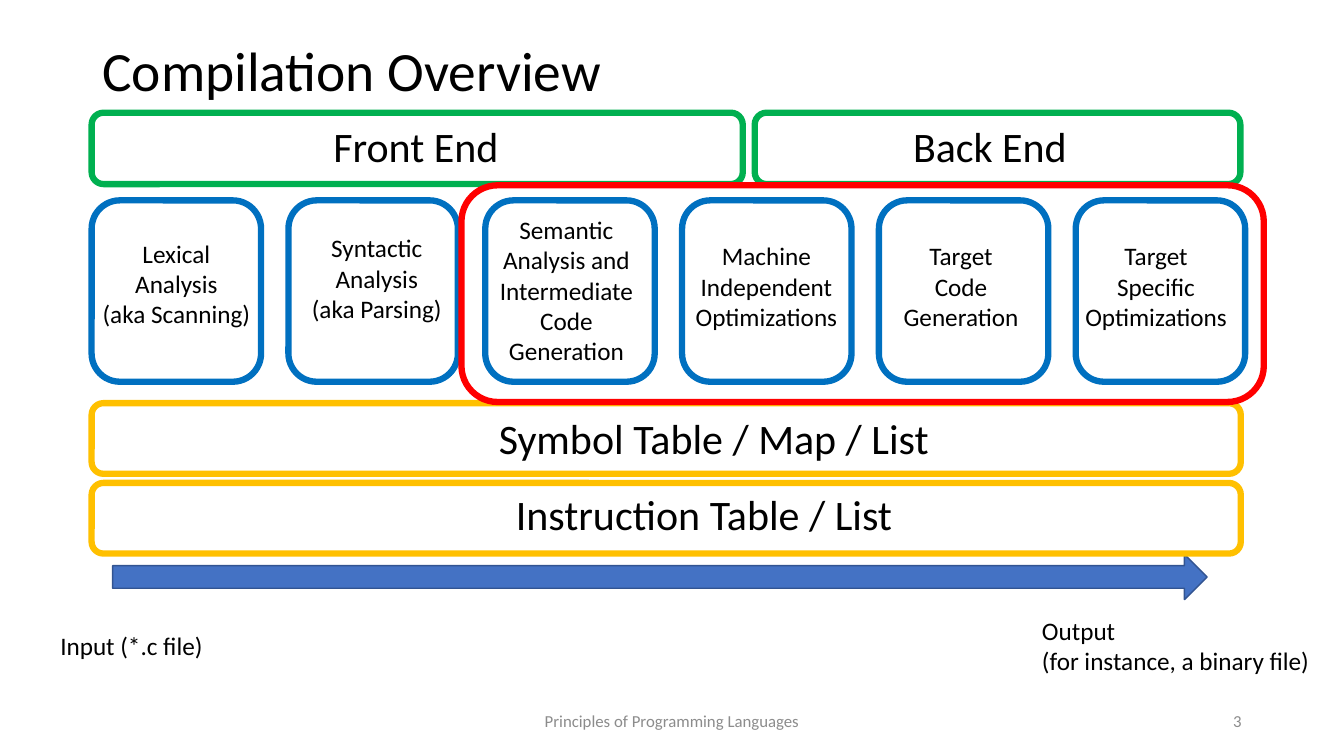
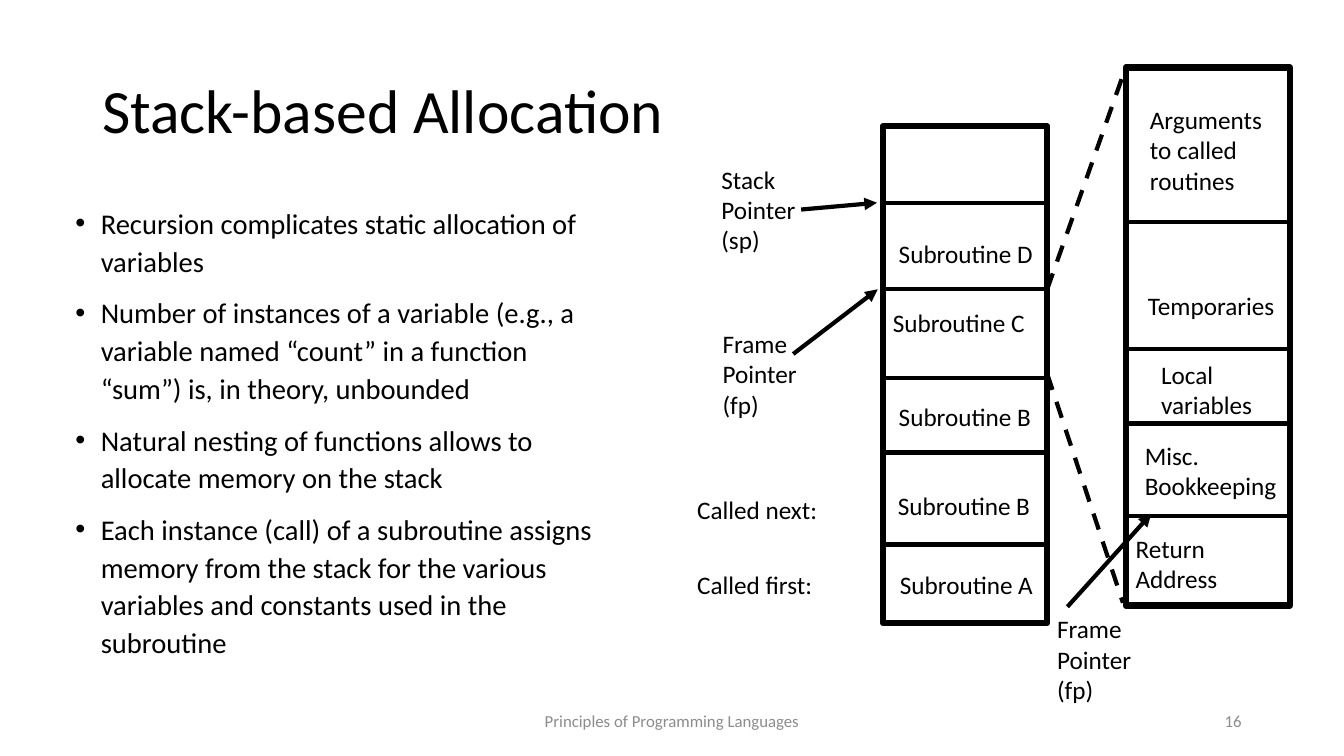
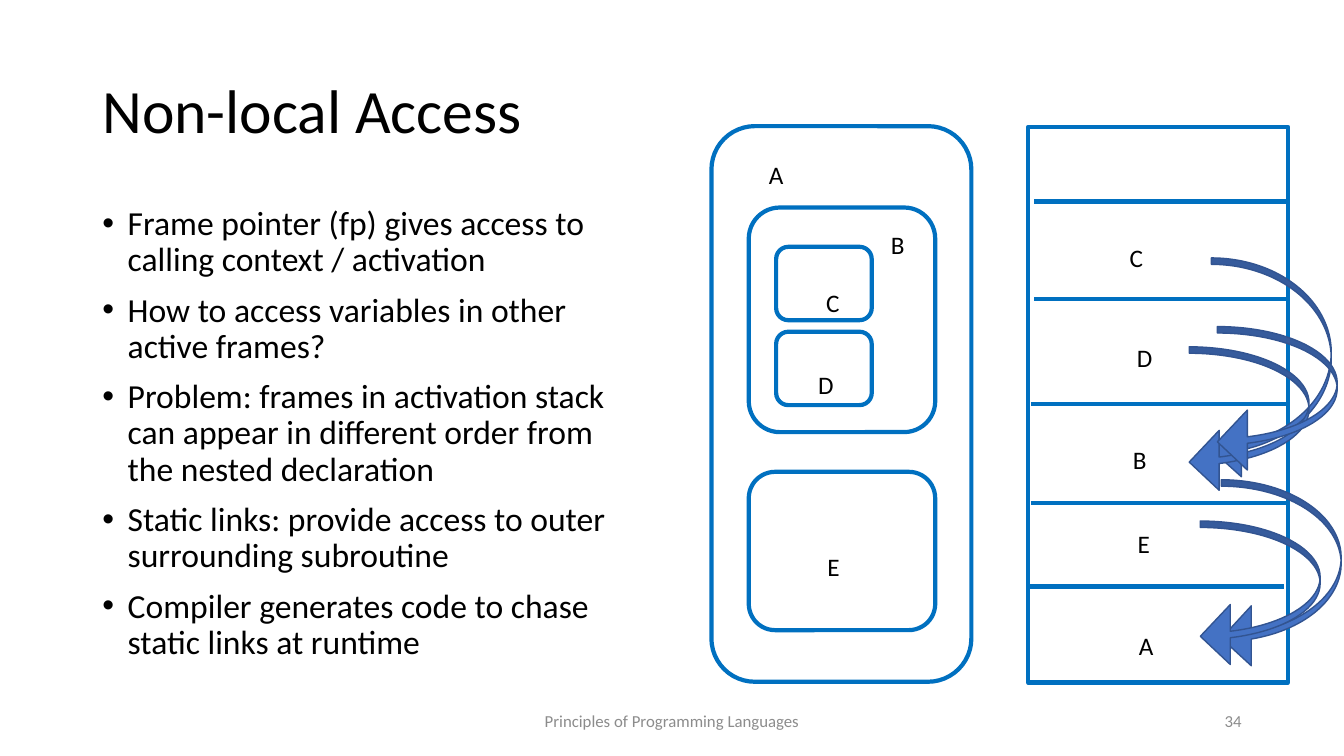
"""Build three lecture slides on compilation, stack allocation and non-local access."""
from dataclasses import dataclass

from lxml import etree
from pptx import Presentation
from pptx import util as u
from pptx.dml import color
from pptx.enum import dml, shapes, text
from pptx.oxml import ns

FONT = "Calibri"
BLACK, GREY = "000000", "8C8C8C"
BLUE, GREEN, YELLOW, RED = "0070C0", "00B050", "FFC000", "FF0000"
ARROW_FILL, ARROW_EDGE = "4472C4", "325491"
FOOTER = "Principles of Programming Languages"
BODY_SIZE = 18
BAND_SIZE = 30
THICK, MEDIUM, THIN = 4.5, 3, 1
LEFT, CENTER, RIGHT = text.PP_ALIGN.LEFT, text.PP_ALIGN.CENTER, text.PP_ALIGN.RIGHT
RECTANGLE = shapes.MSO_SHAPE.RECTANGLE
ROUNDED = shapes.MSO_SHAPE.ROUNDED_RECTANGLE


@dataclass(frozen=True)
class Label:
    left: float
    top: float
    width: float
    words: str
    size: float = BODY_SIZE
    wrapped_rows: int = 0


@dataclass(frozen=True)
class Box:
    left: float
    top: float
    width: float
    height: float
    line: str
    weight: float = THICK
    kind: shapes.MSO_SHAPE = ROUNDED
    fill: str = ""
    adjustments: tuple[float, ...] = ()


@dataclass(frozen=True)
class Line:
    x1: float
    y1: float
    x2: float
    y2: float
    line: str = BLACK
    dashed: bool = False
    arrow: bool = False


def rgb(value: str) -> color.RGBColor:
    return color.RGBColor.from_string(value)


def add_bullet(paragraph) -> None:
    properties = paragraph._p.get_or_add_pPr()
    indent = u.Cm(0.64)
    properties.set("marL", str(indent))
    properties.set("indent", str(-indent))
    etree.SubElement(properties, ns.qn("a:buFont")).set("typeface", "Arial")
    etree.SubElement(properties, ns.qn("a:buChar")).set("char", "•")


def add_text(slide, words: str, left: float, top: float, width: float, height: float, *,
             size: float = BODY_SIZE, ink: str = BLACK, align=LEFT,
             anchor=text.MSO_ANCHOR.TOP, wrap: bool = True, grow: bool = False,
             spacing: float = 1.0, before: float = 0, bullets: bool = False) -> None:
    shape = slide.shapes.add_textbox(u.Cm(left), u.Cm(top), u.Cm(width), u.Cm(height))
    frame = shape.text_frame
    frame.word_wrap = wrap
    frame.vertical_anchor = anchor
    frame.auto_size = text.MSO_AUTO_SIZE.SHAPE_TO_FIT_TEXT if grow else text.MSO_AUTO_SIZE.NONE
    frame.text = words
    for paragraph in frame.paragraphs:
        paragraph.alignment = align
        paragraph.line_spacing = spacing
        paragraph.space_before = u.Pt(before)
        paragraph.font.size = u.Pt(size)
        for run in paragraph.runs:
            run.font.name = FONT
            run.font.size = u.Pt(size)
            run.font.color.rgb = rgb(ink)
        if bullets:
            add_bullet(paragraph)


def add_label(slide, label: Label, align=LEFT) -> None:
    rows = label.wrapped_rows or label.words.count("\n") + 1
    height = rows * label.size * 0.0427 + 0.25
    add_text(slide, label.words, label.left, label.top, label.width, height,
             size=label.size, align=align, wrap=label.wrapped_rows > 0, grow=True)


def add_box(slide, box: Box) -> None:
    shape = slide.shapes.add_shape(box.kind, u.Cm(box.left), u.Cm(box.top),
                                   u.Cm(box.width), u.Cm(box.height))
    shape.shadow.inherit = False
    if box.fill:
        shape.fill.solid()
        shape.fill.fore_color.rgb = rgb(box.fill)
    else:
        shape.fill.background()
    shape.line.color.rgb = rgb(box.line)
    shape.line.width = u.Pt(box.weight)
    for index, value in enumerate(box.adjustments):
        shape.adjustments[index] = value


def add_line(slide, line: Line) -> None:
    connector = slide.shapes.add_connector(
        shapes.MSO_CONNECTOR.STRAIGHT,
        u.Cm(line.x1), u.Cm(line.y1), u.Cm(line.x2), u.Cm(line.y2))
    connector.line.color.rgb = rgb(line.line)
    connector.line.width = u.Pt(MEDIUM)
    if line.dashed:
        connector.line.dash_style = dml.MSO_LINE.DASH
    properties = connector.element.spPr
    if line.arrow:
        outline = properties.find(ns.qn("a:ln"))
        etree.SubElement(outline, ns.qn("a:tailEnd")).set("type", "triangle")
    etree.SubElement(properties, ns.qn("a:effectLst"))


def add_bullets(slide, items: tuple[str, ...], left: float, top: float, width: float,
                size: float, spacing: float) -> None:
    add_text(slide, "\n".join(items), left, top, width, 12.09,
             size=size, spacing=spacing, before=10, bullets=True)


def start_slide(presentation, title: str, number: int, *,
                title_height: float = 3.68, title_size: float = 44):
    slide = presentation.slides.add_slide(presentation.slide_layouts[6])
    middle = text.MSO_ANCHOR.MIDDLE
    add_text(slide, title, 2.33, 1.01, 29.21, title_height,
             size=title_size, anchor=middle, spacing=0.9)
    for words, left, width, align in ((FOOTER, 11.22, 11.43, CENTER),
                                      (str(number), 23.92, 7.62, RIGHT)):
        add_text(slide, words, left, 17.66, width, 1.01,
                 size=12, ink=GREY, align=align, anchor=middle)
    return slide


def build_compilation(presentation) -> None:
    slide = start_slide(presentation, "Compilation Overview", 3,
                        title_height=1.69, title_size=39.6)
    phases = (
        Label(2.31, 5.87, 4.27, "Lexical\nAnalysis\n(aka Scanning)"),
        Label(7.59, 5.74, 3.81, "Syntactic\nAnalysis\n(aka Parsing)"),
        Label(12.32, 5.28, 3.91, "Semantic\nAnalysis and\nIntermediate\nCode Generation",
              wrapped_rows=5),
        Label(17.18, 5.94, 4.27, "Machine Independent Optimizations", wrapped_rows=3),
        Label(22.38, 5.94, 3.68, "Target\nCode\nGeneration", wrapped_rows=3),
        Label(27, 5.94, 4.27, "Target\nSpecific\nOptimizations", wrapped_rows=3),
    )
    for index, phase in enumerate(phases):
        add_box(slide, Box(2.31 + index * 4.96, 5.05, 4.27, 4.57, BLUE))
        add_label(slide, phase, CENTER)

    add_box(slide, Box(2.84, 13.97, 27.58, 1.14, ARROW_EDGE, THIN,
                       shapes.MSO_SHAPE.RIGHT_ARROW, ARROW_FILL))
    add_label(slide, Label(1.27, 15.75, 4.14, "Input (*.c file)"))
    add_label(slide, Label(26.01, 15.37, 7.34, "Output\n(for instance, a binary file)"))

    bands = (
        (Box(2.31, 2.84, 16.41, 1.8, GREEN), Label(8.15, 2.92, 4.72, "Front End", BAND_SIZE)),
        (Box(19.02, 2.84, 12.24, 1.8, GREEN),
         Label(22.76, 2.92, 6.17, "Back End", BAND_SIZE, 1)),
        (Box(2.31, 10.16, 28.96, 1.78, YELLOW),
         Label(12.32, 10.26, 11.46, "Symbol Table / Map / List", BAND_SIZE)),
        (Box(2.31, 12.17, 28.96, 1.78, YELLOW),
         Label(12.75, 12.19, 10.08, "Instruction Table / List", BAND_SIZE)),
    )
    for box, label in bands:
        add_box(slide, box)
        add_label(slide, label)
    add_box(slide, Box(11.63, 4.67, 20.22, 5.46, RED))


def build_stack(presentation) -> None:
    slide = start_slide(presentation, "Stack-based Allocation", 16)
    add_bullets(slide, (
        "Recursion complicates static allocation of variables",
        "Number of instances of a variable (e.g., a variable named “count” in a function "
        "“sum”) is, in theory, unbounded",
        "Natural nesting of functions allows to allocate memory on the stack",
        "Each instance (call) of a subroutine assigns memory from the stack for the various "
        "variables and constants used in the subroutine",
    ), 1.65, 4.98, 14, 20.4, 1.1)

    columns = (
        (Box(22.25, 3.18, 4.14, 12.52, BLACK, kind=RECTANGLE),
         (5.11, 7.29, 9.53, 11.4, 13.72)),
        (Box(28.37, 1.7, 4.14, 13.56, BLACK, kind=RECTANGLE),
         (5.59, 8.79, 10.67, 13)),
    )
    for box, dividers in columns:
        add_box(slide, box)
        for y in dividers:
            add_line(slide, Line(box.left + 0.08, y, box.left + 4.06, y))

    for label in (
        Label(22.43, 14.22, 3.91, "Subroutine A"),
        Label(22.38, 12.24, 3.89, "Subroutine B"),
        Label(22.4, 9.98, 3.89, "Subroutine B"),
        Label(22.25, 7.62, 3.89, "Subroutine C"),
        Label(22.4, 5.87, 3.94, "Subroutine D"),
        Label(28.6, 10.97, 3.86, "Misc.\nBookkeeping"),
        Label(29.01, 8.92, 2.84, "Local\nvariables"),
        Label(28.68, 7.19, 3.73, "Temporaries"),
        Label(28.37, 13.31, 3.48, "Return Address", wrapped_rows=2),
        Label(28.73, 2.51, 3.66, "Arguments to called routines", wrapped_rows=3),
        Label(17.93, 4.01, 2.39, "Stack\nPointer\n(sp)"),
        Label(17.96, 8.15, 2.39, "Frame\nPointer\n(fp)"),
        Label(26.39, 15.34, 4.5, "Frame\nPointer\n(fp)", wrapped_rows=3),
        Label(17.32, 14.22, 3.45, "Called first:"),
        Label(17.32, 12.34, 3.58, "Called next:"),
    ):
        add_label(slide, label)

    for line in (
        Line(26.39, 7.29, 28.37, 1.7, dashed=True),
        Line(26.39, 9.42, 28.3, 15.19, dashed=True),
        Line(20.19, 5.28, 22.1, 5.11, arrow=True),
        Line(19.99, 8.92, 22.12, 7.29, arrow=True),
        Line(26.9, 15.29, 29.01, 12.95, arrow=True),
    ):
        add_line(slide, line)


def build_access(presentation) -> None:
    slide = start_slide(presentation, "Non-local Access", 34)
    add_bullets(slide, (
        "Frame pointer (fp) gives access to calling context / activation",
        "How to access variables in other active frames?",
        "Problem: frames in activation stack can appear in different order from the nested "
        "declaration",
        "Static links: provide access to outer surrounding subroutine",
        "Compiler generates code to chase static links at runtime",
    ), 2.33, 5.08, 13.59, 24, 0.9)

    for left, top, width, height in (
        (17.93, 3.18, 6.55, 14),
        (18.87, 11.89, 4.7, 3.99),
        (18.87, 5.23, 4.7, 5.66),
        (19.56, 6.22, 2.41, 1.85),
        (19.56, 8.36, 2.41, 1.85),
    ):
        add_box(slide, Box(left, top, width, height, BLUE, MEDIUM))

    add_box(slide, Box(25.91, 3.2, 6.55, 14, BLUE, MEDIUM, adjustments=(0,)))
    for left, y in ((25.93, 14.78), (25.98, 12.67), (25.98, 10.19), (26.06, 7.54), (26.06, 5.08)):
        add_line(slide, Line(left, y, left + 6.43, y, BLUE))

    for letter, left, top in (
        ("D", 20.37, 9.17), ("C", 20.57, 7.11), ("B", 22.2, 5.66),
        ("E", 20.6, 13.77), ("A", 19.13, 3.89),
        ("A", 28.45, 15.75), ("E", 28.42, 13.18), ("B", 28.3, 11.07),
        ("D", 28.4, 8.51), ("C", 28.22, 5.99),
    ):
        add_label(slide, Label(left, top, 0.87, letter))

    for left, top, height in (
        (30.53, 6.5, 5.59),
        (30.78, 12.09, 4.75),
        (29.97, 8.74, 3.66),
        (30.25, 13.13, 3.66),
        (30.68, 8.23, 3.66),
    ):
        add_box(slide, Box(left, top, 3.02, height, ARROW_EDGE, THIN,
                           shapes.MSO_SHAPE.CURVED_LEFT_ARROW, ARROW_FILL, (0.054, 0.5, 0.25)))


def main() -> None:
    presentation = Presentation()
    presentation.slide_width = u.Cm(33.87)
    presentation.slide_height = u.Cm(19.05)
    build_compilation(presentation)
    build_stack(presentation)
    build_access(presentation)
    presentation.save("out.pptx")


if __name__ == "__main__":
    main()
